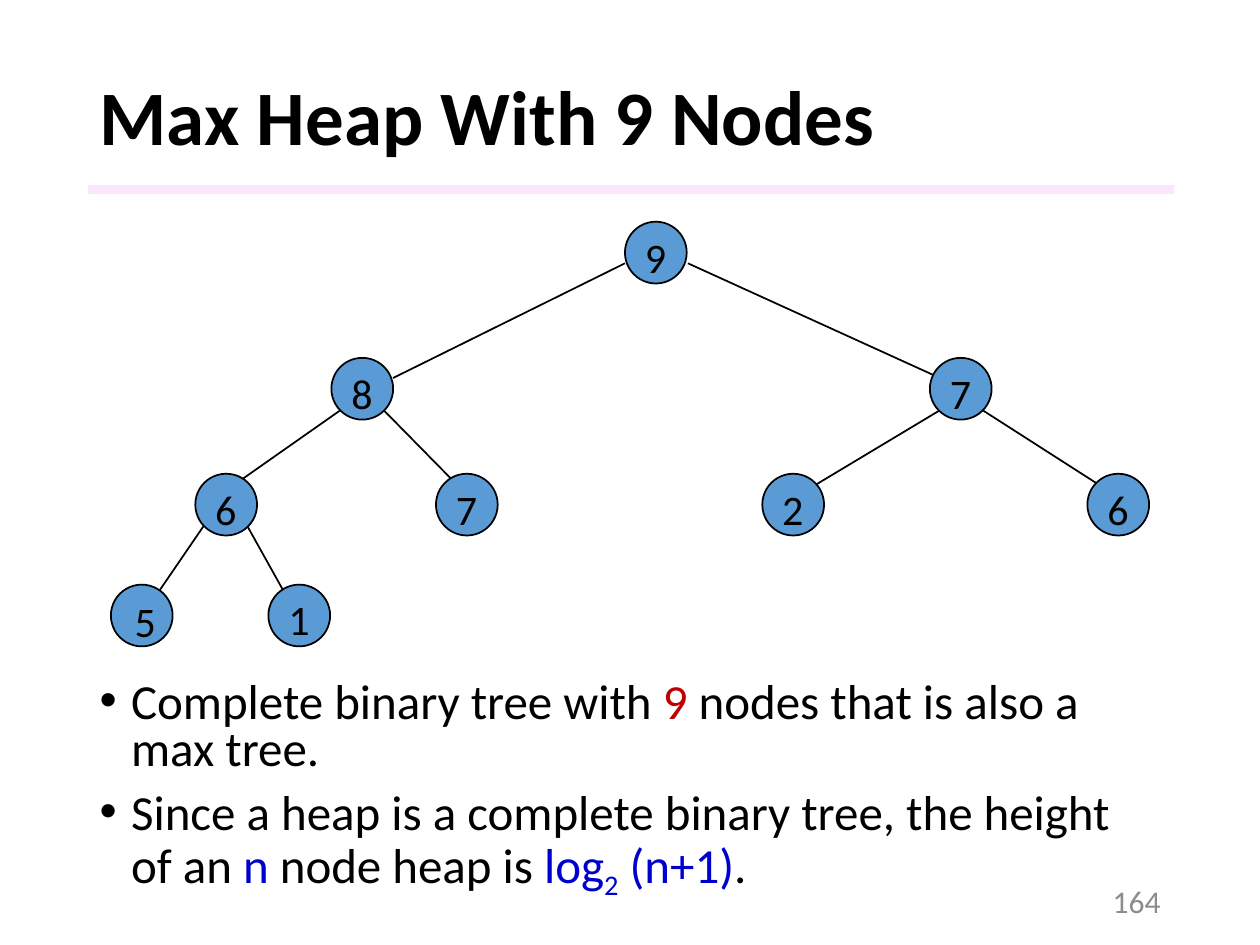
from pptx import Presentation, util as u
from pptx.dml import color
from pptx.enum import shapes, text
from pptx.oxml import ns
from lxml import etree

BLACK, RED, BLUE = "000000", "C00000", "0000CC"
NODE = 0.49

EDGES = [
    (4.96, 2.09, 3.12, 3), (5.46, 2.09, 7.46, 3),
    (2.71, 3.25, 1.87, 3.84), (3.04, 3.25, 3.62, 3.84),
    (7.47, 3.25, 6.42, 3.88), (7.79, 3.25, 8.71, 3.84),
    (1.62, 4.17, 1.25, 4.71), (1.96, 4.17, 2.25, 4.69),
]
LEVELS = [
    (1.76, [(4.96, "9")]),
    (2.84, [(2.63, "8"), (7.38, "7")]),
    (3.76, [(1.55, "6"), (3.46, "7"), (6.05, "2"), (8.63, "6")]),
    (4.64, [(0.88, "5"), (2.13, "1")]),
]
LABEL_OFFSETS = {"5": (0.09, 0.04), "1": (0.06, 0.02)}
BULLETS = [
    [("Complete binary tree with ", BLACK), ("9 ", RED),
     ("nodes that is also a max tree.", BLACK)],
    [("Since a heap is a complete binary tree, the height of an ", BLACK),
     ("n ", BLUE), ("node heap is ", BLACK), ("log", BLUE),
     ("2", BLUE, -25), (" (n+1)", BLUE), (".", BLACK)],
]


def rgb(value):
    return color.RGBColor.from_string(value)


def box(*lengths):
    return [u.Inches(v) for v in lengths]


class Deck:
    font = "Calibri"
    node_fill = "5B9BD5"

    def __init__(self, prs):
        self.s = prs.slides.add_slide(prs.slide_layouts[1])

    def run(self, p, words, size, colour=BLACK, baseline=0, bold=False):
        r = p.add_run()
        r.text = words
        f = r.font
        f.name, f.size, f.bold = self.font, u.Pt(size), bold
        f.color.rgb = rgb(colour)
        if baseline:
            r._r.get_or_add_rPr().set("baseline", str(baseline * 1000))

    def place(self, sp, at, anchor):
        sp.left, sp.top, sp.width, sp.height = box(*at)
        tf = sp.text_frame
        tf.word_wrap = True
        tf.auto_size = text.MSO_AUTO_SIZE.NONE
        tf.vertical_anchor = anchor
        return tf

    def title(self, words, at):
        tf = self.place(self.s.shapes.title, at, text.MSO_ANCHOR.MIDDLE)
        p = tf.paragraphs[0]
        p.alignment = text.PP_ALIGN.LEFT
        p.line_spacing = 0.9
        self.run(p, words, 44, bold=True)

    def bullets(self, items, at):
        tf = self.place(self.s.placeholders[1], at, text.MSO_ANCHOR.TOP)
        for i, runs in enumerate(items):
            p = tf.add_paragraph() if i else tf.paragraphs[0]
            pPr = p._p.get_or_add_pPr()
            pPr.set("marL", str(u.Inches(0.25)))
            pPr.set("indent", str(u.Inches(-0.25)))
            etree.SubElement(pPr, ns.qn("a:buFont")).set("typeface", "Arial")
            etree.SubElement(pPr, ns.qn("a:buChar")).set("char", "•")
            p.line_spacing = 0.8
            p.space_before = u.Pt(10 if i else 0)
            for words, colour, *baseline in runs:
                self.run(p, words, 28, colour, *baseline)

    def rule(self, at, colour, alpha):
        sp = self.s.shapes.add_shape(shapes.MSO_SHAPE.RECTANGLE, *box(*at))
        sp.shadow.inherit = False
        sp.fill.solid()
        sp.fill.fore_color.rgb = rgb(colour)
        fill = sp._element.spPr.find(ns.qn("a:solidFill"))
        etree.SubElement(fill[0], ns.qn("a:alpha")).set("val", str(alpha * 1000))
        sp.line.fill.background()

    def page_number(self, words, at):
        sp = self.s.shapes.add_textbox(*box(*at))
        p = self.place(sp, at, text.MSO_ANCHOR.MIDDLE).paragraphs[0]
        p.alignment = text.PP_ALIGN.RIGHT
        self.run(p, words, 18, "8C8C8C")

    def edge(self, ends):
        c = self.s.shapes.add_connector(shapes.MSO_CONNECTOR.STRAIGHT, *box(*ends))
        c.line.color.rgb = rgb(BLACK)
        c.line.width = u.Pt(1)
        etree.SubElement(c._element.spPr, ns.qn("a:effectLst"))

    def node(self, key, x, y):
        group = self.s.shapes.add_group_shape()
        sp = group.shapes.add_shape(shapes.MSO_SHAPE.OVAL, *box(x, y, NODE, NODE))
        sp.shadow.inherit = False
        sp.fill.solid()
        sp.fill.fore_color.rgb = rgb(self.node_fill)
        sp.line.color.rgb = rgb(BLACK)
        sp.line.width = u.Pt(1)
        dx, dy = LABEL_OFFSETS.get(key, (0.06, 0.03))
        label = group.shapes.add_textbox(*box(x + dx, y + dy, 0.37, 0.51))
        tf = label.text_frame
        tf.word_wrap = False
        tf.auto_size = text.MSO_AUTO_SIZE.SHAPE_TO_FIT_TEXT
        self.run(tf.paragraphs[0], key, 24)


def main():
    prs = Presentation()
    prs.slide_width, prs.slide_height = box(10, 7.5)
    deck = Deck(prs)
    deck.rule((0.7, 1.47, 8.62, 0.07), "F3D2F4", 50)
    deck.title("Max Heap With 9 Nodes", (0.69, 0.4, 8.62, 1.11))
    deck.bullets(BULLETS, (0.69, 5.36, 8.62, 1.87))
    deck.page_number("164", (7.06, 6.95, 2.25, 0.4))
    for ends in EDGES:
        deck.edge(ends)
    for y, nodes in LEVELS:
        for x, key in nodes:
            deck.node(key, x, y)
    prs.save("out.pptx")


if __name__ == "__main__":
    main()
